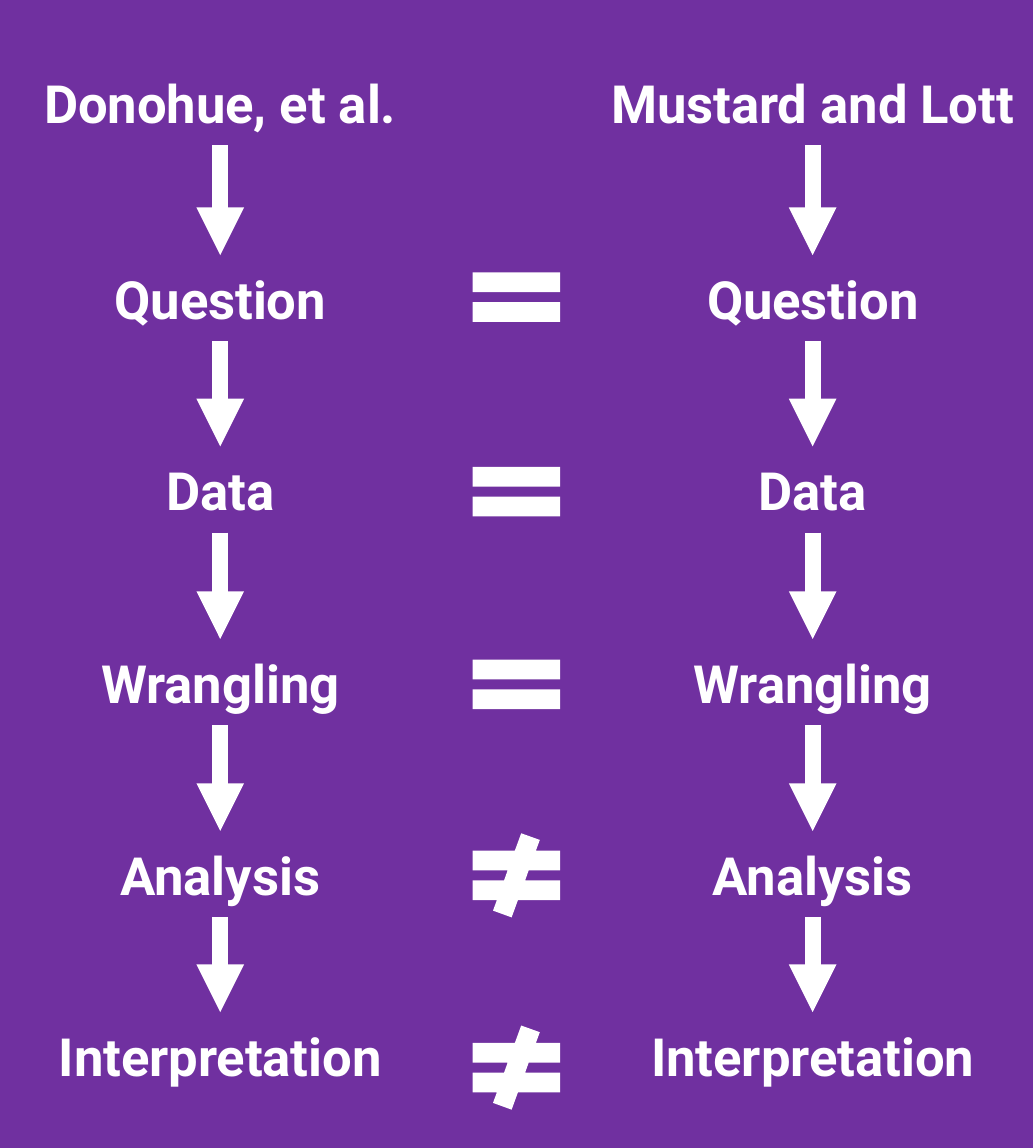
from lxml import etree
from pptx import Presentation
from pptx import util as u
from pptx.dml.color import RGBColor
from pptx.enum import shapes, text
from pptx.oxml.ns import qn

COLORS = {"background": "7030A0", "ink": "FFFFFF"}
EQUAL = shapes.MSO_SHAPE.MATH_EQUAL
NOT_EQUAL = shapes.MSO_SHAPE.MATH_NOT_EQUAL


def rgb(name):
    return RGBColor.from_string(COLORS[name])


def write(tf, content, font="Roboto", size=16.5, color="ink", bold=True,
          align=text.PP_ALIGN.CENTER):
    p = tf.paragraphs[0]
    p.alignment = align
    r = p.add_run()
    r.text = content
    r.font.name, r.font.size, r.font.bold = font, u.Pt(size), bold
    r.font.color.rgb = rgb(color)


class Flow:
    label_width, label_height = 185.8, 27
    sign_width, sign_height = 37.4, 26.4
    line_width = 5

    def __init__(self, s):
        self.s = s
        s.background.fill.solid()
        s.background.fill.fore_color.rgb = rgb("background")

    def label(self, content, center, top):
        sp = self.s.shapes.add_textbox(
            u.Pt(center - self.label_width / 2), u.Pt(top),
            u.Pt(self.label_width), u.Pt(self.label_height))
        tf = sp.text_frame
        tf.word_wrap = True
        tf.auto_size = text.MSO_AUTO_SIZE.SHAPE_TO_FIT_TEXT
        tf.vertical_anchor = text.MSO_ANCHOR.MIDDLE
        write(tf, content)

    def arrow(self, x, start, end):
        sp = self.s.shapes.add_connector(
            shapes.MSO_CONNECTOR.STRAIGHT,
            u.Pt(x), u.Pt(start), u.Pt(x), u.Pt(end))
        sp.line.width = u.Pt(self.line_width)
        sp.line.color.rgb = rgb("ink")
        ln = sp.line._get_or_add_ln()
        etree.SubElement(ln, qn("a:tailEnd"), type="triangle")
        etree.SubElement(sp._element.spPr, qn("a:effectLst"))

    def sign(self, kind, center, top):
        sp = self.s.shapes.add_shape(
            kind, u.Pt(center - self.sign_width / 2), u.Pt(top),
            u.Pt(self.sign_width), u.Pt(self.sign_height))
        sp.shadow.inherit = False
        sp.fill.solid()
        sp.fill.fore_color.rgb = rgb("ink")
        sp.line.fill.background()


def main():
    prs = Presentation()
    prs.slide_width, prs.slide_height = u.Pt(324), u.Pt(360)
    flow = Flow(prs.slides.add_slide(prs.slide_layouts[6]))

    # Steps: name, label top, sign, sign top
    steps = [
        ("Question", 80, EQUAL, 80),
        ("Data", 140, EQUAL, 141),
        ("Wrangling", 200.4, EQUAL, 201.4),
        ("Analysis", 260.6, NOT_EQUAL, 261.3),
        ("Interpretation", 317.4, NOT_EQUAL, 321.6),
    ]
    author_top = 18.5

    # One column per research team
    for author, x in (("Donohue, et al.", 69.1), ("Mustard and Lott", 254.9)):
        flow.label(author, x, author_top)
        previous = author_top
        for name, top, _, _ in steps:
            flow.arrow(x, previous + flow.label_height, top)
            flow.label(name, x, top)
            previous = top

    # Comparison signs between the columns
    for _, _, kind, top in steps:
        flow.sign(kind, 162, top)

    prs.save("out.pptx")


if __name__ == "__main__":
    main()
